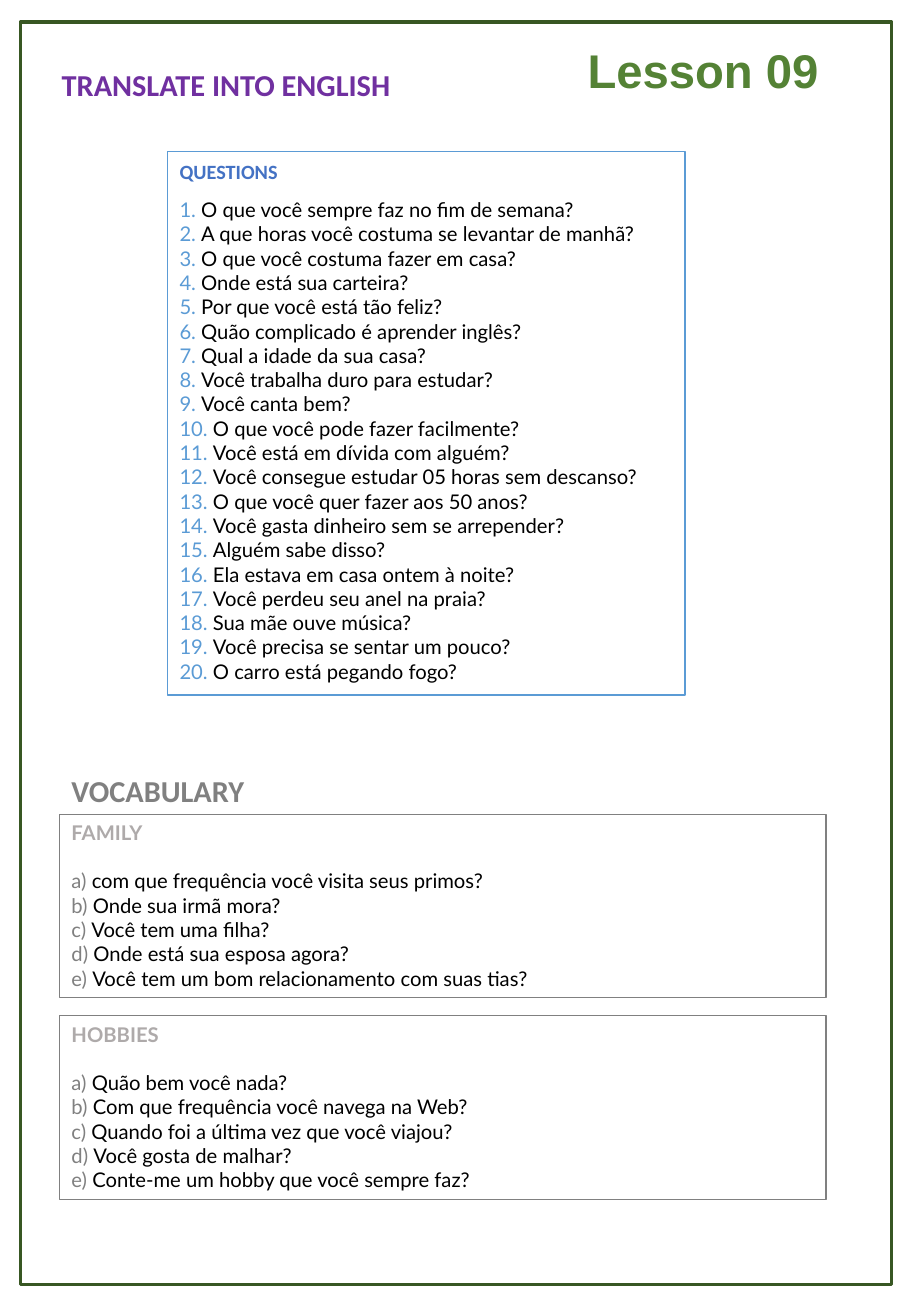
"""Builds the Lesson 09 translation worksheet."""
from pptx import Presentation, util as u
from pptx.dml.color import RGBColor
from pptx.enum import shapes, text

PURPLE = RGBColor(0x70, 0x30, 0xA0)
GREEN = RGBColor(0x54, 0x82, 0x35)
DARK_GREEN = RGBColor(0x38, 0x57, 0x23)
GRAY = RGBColor(0x80, 0x80, 0x80)
LIGHT_GRAY = RGBColor(0xAE, 0xAA, 0xAA)
BLUE = RGBColor(0x44, 0x72, 0xC4)
LIGHT_BLUE = RGBColor(0x5B, 0x9B, 0xD5)
BLACK = RGBColor(0, 0, 0)

QUESTIONS = [
    "O que você sempre faz no fim de semana?",
    "A que horas você costuma se levantar de manhã?",
    "O que você costuma fazer em casa?",
    "Onde está sua carteira?",
    "Por que você está tão feliz?",
    "Quão complicado é aprender inglês?",
    "Qual a idade da sua casa?",
    "Você trabalha duro para estudar?",
    "Você canta bem?",
    "O que você pode fazer facilmente?",
    "Você está em dívida com alguém?",
    "Você consegue estudar 05 horas sem descanso?",
    "O que você quer fazer aos 50 anos?",
    "Você gasta dinheiro sem se arrepender?",
    "Alguém sabe disso?",
    "Ela estava em casa ontem à noite?",
    "Você perdeu seu anel na praia?",
    "Sua mãe ouve música?",
    "Você precisa se sentar um pouco?",
    "O carro está pegando fogo?",
]
VOCABULARY = {
    "FAMILY": [
        "com que frequência você visita seus primos?",
        "Onde sua irmã mora?",
        "Você tem uma filha?",
        "Onde está sua esposa agora?",
        "Você tem um bom relacionamento com suas tias?",
    ],
    "HOBBIES": [
        "Quão bem você nada?",
        "Com que frequência você navega na Web?",
        "Quando foi a última vez que você viajou?",
        "Você gosta de malhar?",
        "Conte-me um hobby que você sempre faz?",
    ],
}


class Worksheet:
    """Draws worksheet parts on a slide of 75 columns by 108.3 rows."""

    columns, rows = 75, 108.3
    heading_font, body_font, body_size = "Calibri", "Lato", 12

    def __init__(self, deck):
        self.slide = deck.slides.add_slide(deck.slide_layouts[6])
        self.column = deck.slide_width / self.columns
        self.row = deck.slide_height / self.rows

    def place(self, left, top, width, height):
        return (u.Emu(round(left * self.column)), u.Emu(round(top * self.row)),
                u.Emu(round(width * self.column)), u.Emu(round(height * self.row)))

    def style(self, run, font, size, color, bold=False):
        run.font.name, run.font.size, run.font.bold = font, u.Pt(size), bold
        run.font.color.rgb = color

    def title(self, area, words, color, size=18, font=heading_font, wrap=True):
        frame = self.slide.shapes.add_textbox(*self.place(*area)).text_frame
        frame.word_wrap = wrap
        heading = frame.paragraphs[0]
        heading.text = words
        if font == self.heading_font:
            heading.line_spacing = 1.07
        self.style(heading.runs[0], font, size, color, True)

    def frame(self, area, color, weight):
        border = self.slide.shapes.add_shape(
            shapes.MSO_SHAPE.RECTANGLE, *self.place(*area))
        border.shadow.inherit = False
        border.fill.background()
        border.line.color.rgb, border.line.width = color, u.Pt(weight)
        return border

    def exercise(self, area, words, font, heading_color, color, labels, sentences,
                 gap, spacing=1.0):
        body = self.frame(area, color, 0.75).text_frame
        body.word_wrap = True
        body.vertical_anchor = text.MSO_ANCHOR.TOP
        heading = body.paragraphs[0]
        heading.text = words
        heading.alignment = text.PP_ALIGN.LEFT
        heading.line_spacing, heading.space_after = spacing, u.Pt(gap)
        self.style(heading.runs[0], font, self.body_size, heading_color, True)
        for label, sentence in zip(labels, sentences):
            item = body.add_paragraph()
            item.alignment = text.PP_ALIGN.LEFT
            for part, part_color in ((f"{label} ", color), (sentence, BLACK)):
                run = item.add_run()
                run.text = part
                self.style(run, self.body_font, self.body_size, part_color)


def main():
    deck = Presentation()
    deck.slide_width, deck.slide_height = u.Inches(7.5), u.Inches(10.83)
    sheet = Worksheet(deck)
    sheet.title((4.1, 4.7, 31, 4.1), "TRANSLATE INTO ENGLISH", PURPLE)
    sheet.title((47.4, 2.9, 21.3, 5.7), "Lesson 09", GREEN, 28, "Arial", False)
    sheet.frame((1.7, 1.8, 71.7, 103.9), DARK_GREEN, 2)
    sheet.title((4.9, 62.8, 16.3, 4.1), "VOCABULARY", GRAY)
    for index, (topic, sentences) in enumerate(VOCABULARY.items()):
        sheet.exercise((4.9, 67 + 16.6 * index, 63.1, 15.1), topic, sheet.body_font,
                       LIGHT_GRAY, GRAY, [f"{letter})" for letter in "abcde"],
                       sentences, gap=14.4)
    numbers = [f"{number}." for number in range(1, len(QUESTIONS) + 1)]
    sheet.exercise((13.8, 12.5, 42.6, 44.7), "QUESTIONS", sheet.heading_font, BLUE,
                   LIGHT_BLUE, numbers, QUESTIONS, gap=8, spacing=1.07)
    deck.save("out.pptx")


if __name__ == "__main__":
    main()
